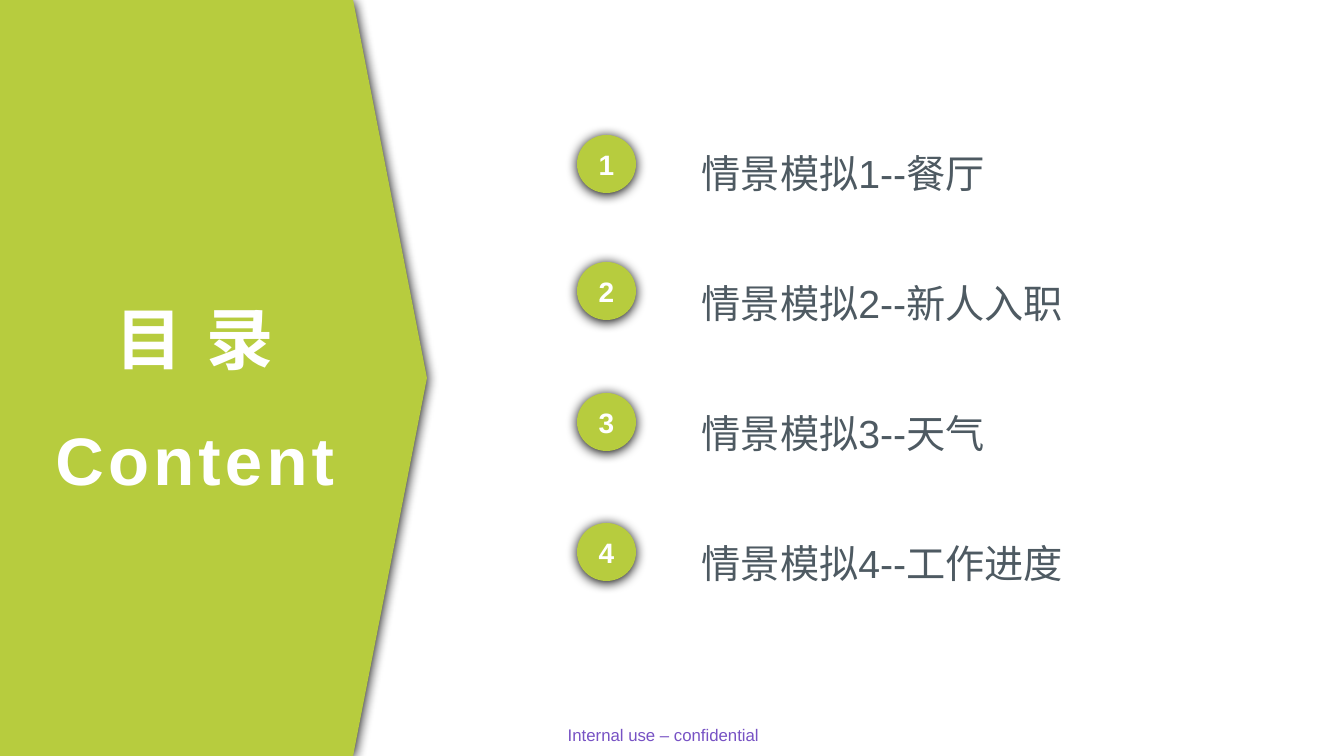
from lxml.etree import SubElement
from pptx import Presentation
from pptx.dml.color import RGBColor
from pptx.enum.shapes import MSO_SHAPE
from pptx.enum.text import MSO_ANCHOR, MSO_AUTO_SIZE, PP_ALIGN
from pptx.oxml.ns import qn
from pptx.util import Emu, Pt

SCALE = 914400 / 100.8
GREEN = RGBColor(0xB7, 0xCC, 0x3E)
WHITE = RGBColor(0xFF, 0xFF, 0xFF)
SLATE = RGBColor(0x4E, 0x5A, 0x62)
PURPLE = RGBColor(0x77, 0x52, 0xC4)


def px(*lengths):
    return [Emu(round(length * SCALE)) for length in lengths]


def format_text(para, size, color, align, bold=False, font="Arial"):
    para.alignment = align
    for span in para.runs:
        span.font.size = Pt(size)
        span.font.bold = bold
        span.font.name = font
        span.font.color.rgb = color
        east_asian = SubElement(span._r.get_or_add_rPr(), qn("a:ea"))
        east_asian.set("typeface", "Noto Sans CJK SC")


deck = Presentation()
deck.slide_width, deck.slide_height = px(1344, 756)
page = deck.slides.add_slide(deck.slide_layouts[5])

footer = page.shapes.add_textbox(*px(511, 722, 305, 28))
footer.text_frame.word_wrap = True
footer.text_frame.text = "Internal use – confidential"
para = footer.text_frame.paragraphs[0]
para.line_spacing = 0.9
para.space_before = Pt(4.5)
format_text(para, 12, PURPLE, PP_ALIGN.CENTER)

panel = page.shapes.add_shape(MSO_SHAPE.PENTAGON, *px(0, 0, 427, 756))
panel.adjustments[0] = 0.173
green_shapes = [panel]

title = page.shapes.title
title.left, title.top, title.width, title.height = px(0, 0, 390, 756)
title.element.addprevious(panel.element)
frame = title.text_frame
frame.text = "目 录\nContent"
frame.word_wrap = True
frame.auto_size = MSO_AUTO_SIZE.NONE
frame.vertical_anchor = MSO_ANCHOR.MIDDLE
for para, font in zip(frame.paragraphs, ("Noto Sans CJK SC", "Arial")):
    para.line_spacing = 1.5
    para.space_before = Pt(0)
    format_text(para, 48, WHITE, PP_ALIGN.CENTER, True, font)
    for span in para.runs:
        span._r.get_or_add_rPr().set("spc", "300")

topics = ("餐厅", "新人入职", "天气", "工作进度")
badge_tops = (135, 262, 393, 523)
for number, (topic, badge_top) in enumerate(zip(topics, badge_tops), 1):
    badge = page.shapes.add_shape(MSO_SHAPE.OVAL, *px(577, badge_top, 59, 58))
    frame = badge.text_frame
    frame.margin_left = frame.margin_right = 0
    frame.word_wrap = False
    frame.vertical_anchor = MSO_ANCHOR.MIDDLE
    frame.text = str(number)
    format_text(frame.paragraphs[0], 20, WHITE, PP_ALIGN.CENTER, True)
    green_shapes.append(badge)

    label = page.shapes.add_textbox(*px(692, 121 + 130 * (number - 1), 512, 82))
    label.text_frame.word_wrap = True
    label.text_frame.text = f"情景模拟{number}--{topic}"
    para = label.text_frame.paragraphs[0]
    para.line_spacing = 1.5
    format_text(para, 28, SLATE, PP_ALIGN.LEFT)

for shape in green_shapes:
    shape.fill.solid()
    shape.fill.fore_color.rgb = GREEN
    shape.line.fill.background()
    shape.shadow.inherit = False
    effects = shape.element.spPr.find(qn("a:effectLst"))
    shadow = SubElement(effects, qn("a:outerShdw"), blurRad=str(Pt(8.5)),
                        dist=str(Pt(1)), dir="5400000", rotWithShape="0")
    SubElement(shadow, qn("a:srgbClr"), val="000000")

deck.save("out.pptx")
